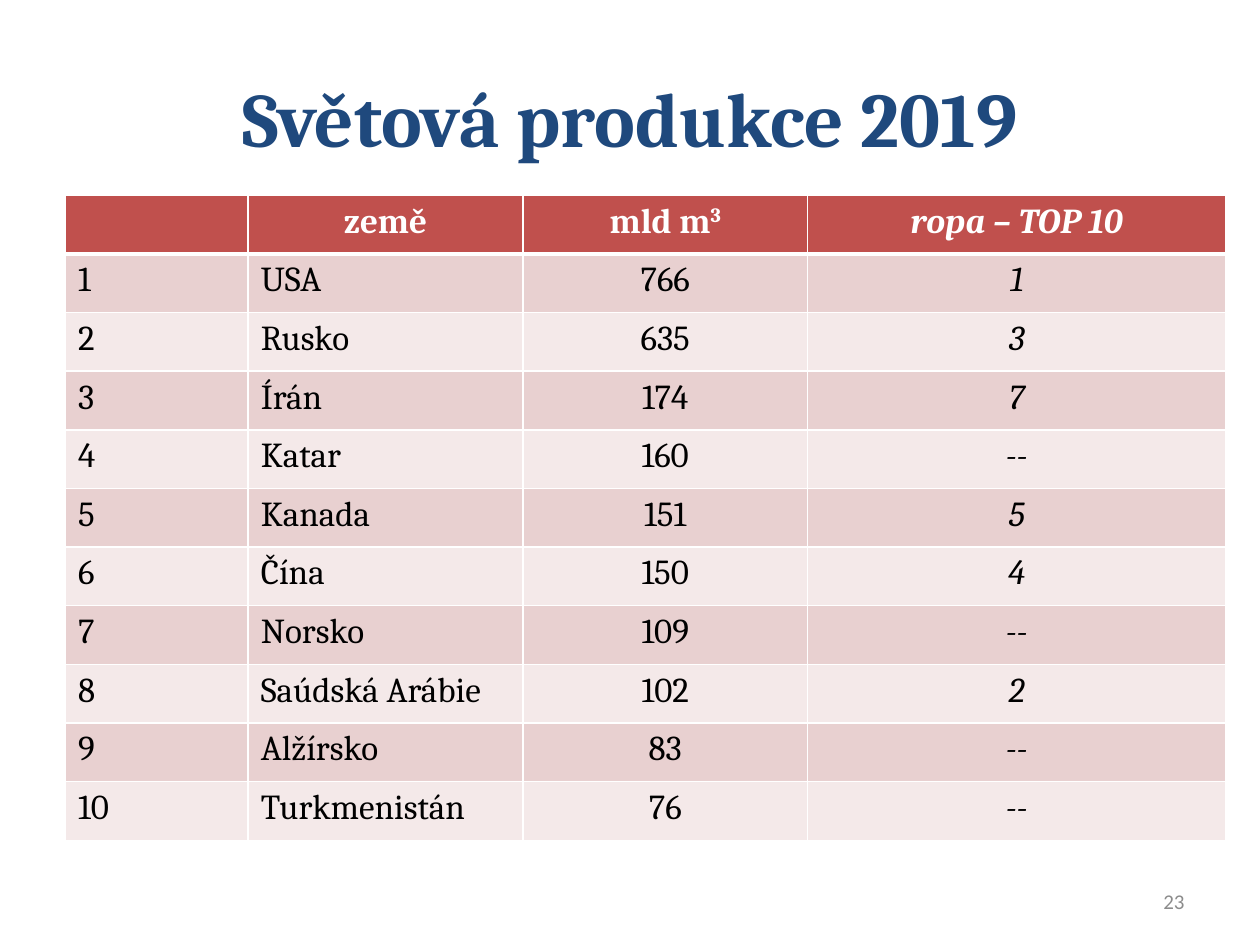
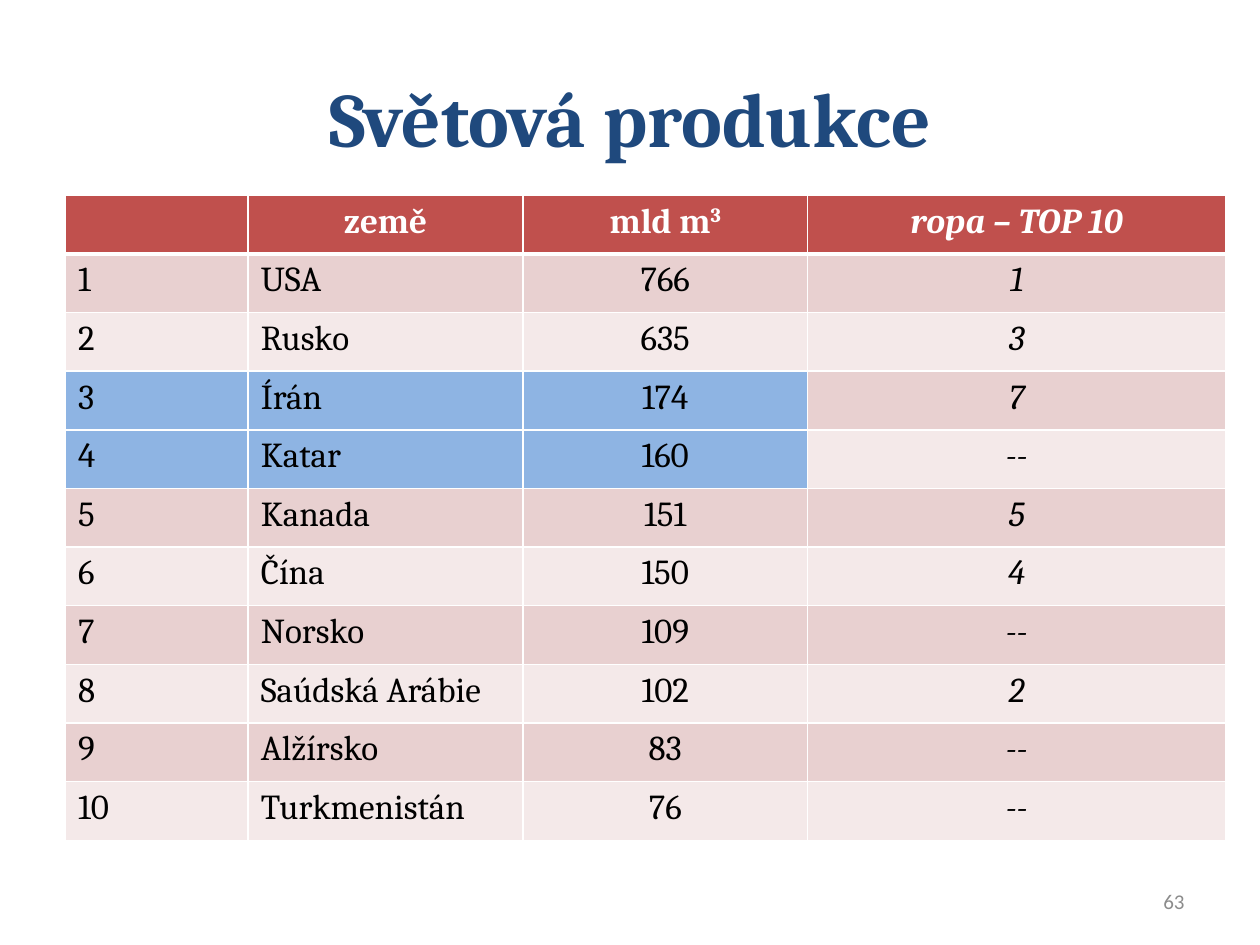
"""Build two slides ranking the world's natural gas producers."""
import dataclasses

import lxml.etree
import pptx
import pptx.dml.color
import pptx.enum.text
import pptx.oxml.ns
import pptx.util

Inches = pptx.util.Inches
Pt = pptx.util.Pt
ALIGN = pptx.enum.text.PP_ALIGN
MIDDLE = pptx.enum.text.MSO_ANCHOR.MIDDLE

SLIDES = [
    {"title": "Světová produkce 2019", "number": "23", "highlighted": ()},
    {"title": "Světová produkce", "number": "63", "highlighted": ("Írán", "Katar")},
]
HEADINGS = [(), ("země",), ("mld m", "3"), ("ropa – TOP 10",)]
PRODUCERS = [
    ("USA", "766", "1"),
    ("Rusko", "635", "3"),
    ("Írán", "174", "7"),
    ("Katar", "160", "--"),
    ("Kanada", "151", "5"),
    ("Čína", "150", "4"),
    ("Norsko", "109", "--"),
    ("Saúdská Arábie", "102", "2"),
    ("Alžírsko", "83", "--"),
    ("Turkmenistán", "76", "--"),
]
COLUMN_WIDTHS = (1.45, 2.18, 2.26, 3.32)
TABLE_LEFT, TABLE_TOP, TABLE_HEIGHT = 0.52, 1.55, 5.12
GAS_COLUMN, OIL_COLUMN = 2, 3


@dataclasses.dataclass(frozen=True)
class Theme:
    """Colours, fonts, type sizes and rule widths of the slides."""
    title: str = "1F497D"
    number: str = "8C8C8C"
    header: str = "C0504D"
    bands: tuple = ("E8D0D0", "F4E9E9")
    highlight: str = "8EB4E3"
    light: str = "FFFFFF"
    dark: str = "000000"
    serif: str = "Cambria"
    sans: str = "Calibri"
    title_size: int = 44
    table_size: int = 20
    number_size: int = 12
    rule: int = 1
    header_rule: int = 3


THEME = Theme()


def rgb(value):
    """Return the colour object of a hex value."""
    return pptx.dml.color.RGBColor.from_string(value)


def add_run(paragraph, text, size, colour, name=THEME.serif, bold=False, italic=False):
    """Add one formatted run to a paragraph."""
    run = paragraph.add_run()
    run.text = text
    run.font.name = name
    run.font.size = Pt(size)
    run.font.color.rgb = rgb(colour)
    run.font.bold = bold
    run.font.italic = italic
    return run


def place(shape, left, top, width, height):
    """Set a shape's position and size in inches."""
    shape.left, shape.top = Inches(left), Inches(top)
    shape.width, shape.height = Inches(width), Inches(height)


def draw_borders(cell, top, bottom):
    """Draw the light rules around a cell."""
    properties = cell._tc.get_or_add_tcPr()
    qn = pptx.oxml.ns.qn
    for side, width in (("L", THEME.rule), ("R", THEME.rule), ("T", top), ("B", bottom)):
        line = lxml.etree.SubElement(properties, qn(f"a:ln{side}"), w=str(Pt(width)))
        fill = lxml.etree.SubElement(line, qn("a:solidFill"))
        lxml.etree.SubElement(fill, qn("a:srgbClr"), val=THEME.light)


def fill_cell(cell, row, column, runs, fill):
    """Write, colour and border one table cell."""
    header = row == 0
    draw_borders(cell, THEME.header_rule if row == 1 else THEME.rule,
                 THEME.header_rule if header else THEME.rule)
    cell.fill.solid()
    cell.fill.fore_color.rgb = rgb(fill)
    paragraph = cell.text_frame.paragraphs[0]
    centred = header or column >= GAS_COLUMN
    paragraph.alignment = ALIGN.CENTER if centred else ALIGN.LEFT
    for index, text in enumerate(runs):
        run = add_run(paragraph, text, THEME.table_size,
                      THEME.light if header else THEME.dark,
                      bold=header, italic=column == OIL_COLUMN)
        if index:
            run.font._element.set("baseline", "30000")


def add_ranking(slide, highlighted):
    """Add the table of producers, marking the highlighted countries."""
    rows = [HEADINGS] + [[(str(rank),)] + [(value,) for value in producer]
                         for rank, producer in enumerate(PRODUCERS, 1)]
    ranking = slide.shapes.add_table(
        len(rows), len(COLUMN_WIDTHS), Inches(TABLE_LEFT), Inches(TABLE_TOP),
        Inches(sum(COLUMN_WIDTHS)), Inches(TABLE_HEIGHT)).table
    for column, width in zip(ranking.columns, COLUMN_WIDTHS):
        column.width = Inches(width)
    for r, row in enumerate(rows):
        band = THEME.bands[(r - 1) % 2] if r else THEME.header
        marked = r > 0 and PRODUCERS[r - 1][0] in highlighted
        for c, runs in enumerate(row):
            fill = THEME.highlight if marked and c < OIL_COLUMN else band
            fill_cell(ranking.cell(r, c), r, c, runs, fill)


def add_title(slide, text):
    """Place and write the slide title."""
    title = slide.shapes.title
    place(title, 0.5, 0.3, 9, 1.25)
    title.text_frame.vertical_anchor = MIDDLE
    paragraph = title.text_frame.paragraphs[0]
    paragraph.alignment = ALIGN.CENTER
    add_run(paragraph, text, THEME.title_size, THEME.title, bold=True)


def add_number(slide, text):
    """Add the slide number at the lower right."""
    number = slide.shapes.add_textbox(Inches(7.17), Inches(6.95), Inches(2.33), Inches(0.4))
    number.text_frame.word_wrap = True
    number.text_frame.vertical_anchor = MIDDLE
    paragraph = number.text_frame.paragraphs[0]
    paragraph.alignment = ALIGN.RIGHT
    add_run(paragraph, text, THEME.number_size, THEME.number, name=THEME.sans)


def main():
    """Build and save the presentation."""
    deck = pptx.Presentation()
    deck.slide_width, deck.slide_height = Inches(10), Inches(7.5)
    title_only = deck.slide_layouts.get_by_name("Title Only")
    for content in SLIDES:
        slide = deck.slides.add_slide(title_only)
        add_title(slide, content["title"])
        add_number(slide, content["number"])
        add_ranking(slide, content["highlighted"])
    deck.save("out.pptx")


if __name__ == "__main__":
    main()
